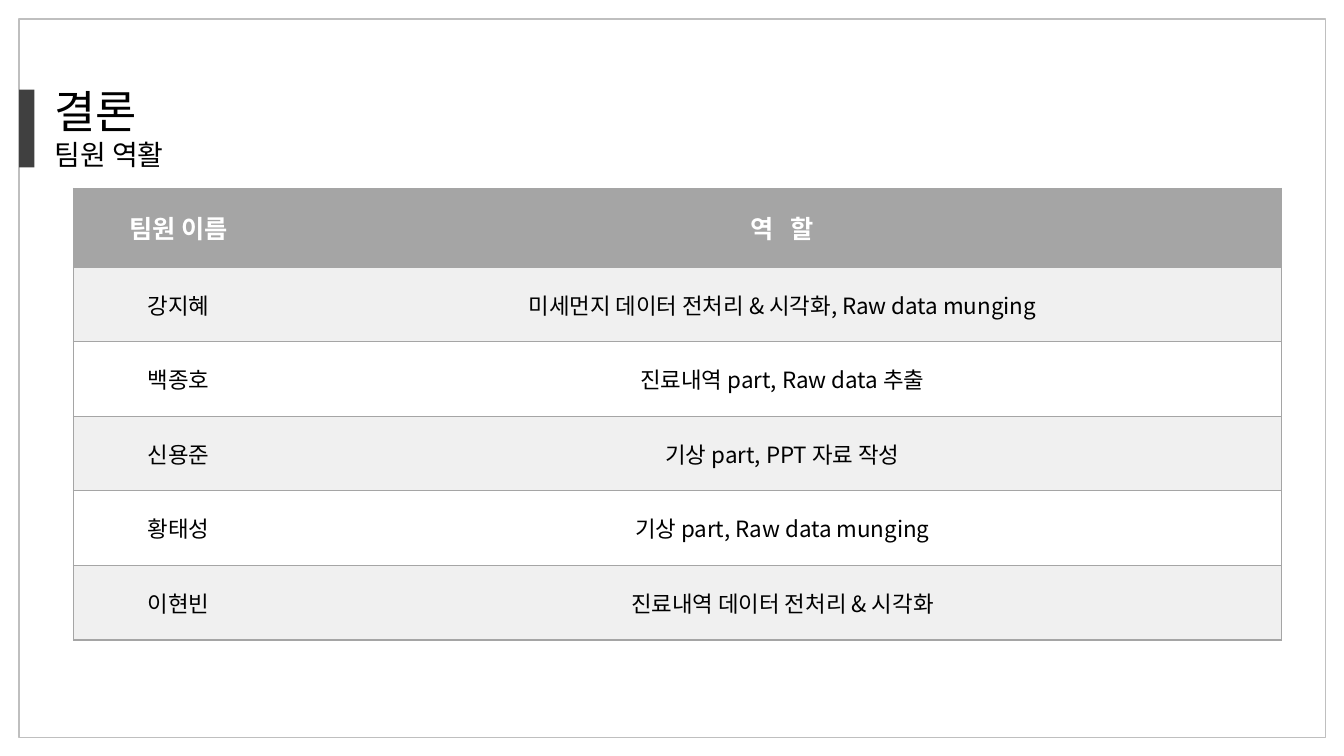
from dataclasses import dataclass

from lxml import etree
from pptx import Presentation
from pptx.dml.color import RGBColor
from pptx.enum.shapes import MSO_SHAPE as Shape
from pptx.enum.text import MSO_ANCHOR as Anchor, MSO_AUTO_SIZE as AutoSize, PP_ALIGN as Align
from pptx.oxml import parse_xml
from pptx.oxml.ns import nsdecls, qn
from pptx.util import Inches, Pt


@dataclass(frozen=True)
class Theme:
    font: str = "Noto Sans CJK KR"
    black: str = "000000"
    white: str = "FFFFFF"
    frame: str = "BFBFBF"
    accent: str = "404040"
    header: str = "A5A5A5"
    band: str = "F0F0F0"
    title_size: int = 32
    subtitle_size: int = 20
    header_size: int = 18
    body_size: int = 16


THEME = Theme()
HEADINGS = ("팀원 이름", "역 할")
ROLES = (
    ("강지혜", "미세먼지 데이터 전처리 & 시각화, Raw data munging"),
    ("백종호", "진료내역 part, Raw data 추출"),
    ("신용준", "기상 part, PPT 자료 작성"),
    ("황태성", "기상 part, Raw data munging"),
    ("이현빈", "진료내역 데이터 전처리 & 시각화"),
)


def write(paragraph, text, *, size, color=THEME.black, bold=False,
          align=Align.LEFT, spacing=0, outlined=False):
    paragraph.alignment = align
    run = paragraph.add_run()
    run.text = text
    font = run.font
    font.size = Pt(size)
    font.bold = bold
    font.color.rgb = RGBColor.from_string(color)
    font.name = THEME.font
    properties = run._r.get_or_add_rPr()
    etree.SubElement(properties, qn("a:ea"), typeface=THEME.font)
    if spacing:
        properties.set("spc", str(spacing * 100))
    if outlined:
        properties.insert(0, parse_xml(
            f'<a:ln {nsdecls("a")} w="{Pt(0.75)}"><a:solidFill>'
            f'<a:srgbClr val="{color}"><a:alpha val="50000"/></a:srgbClr>'
            '</a:solidFill></a:ln>'))


def add_box(slide, left, top, width, height, *, fill=None, line=None):
    box = slide.shapes.add_shape(
        Shape.RECTANGLE, Inches(left), Inches(top), Inches(width), Inches(height))
    box.shadow.inherit = False
    if fill:
        box.fill.solid()
        box.fill.fore_color.rgb = RGBColor.from_string(fill)
    else:
        box.fill.background()
    if line:
        box.line.color.rgb = RGBColor.from_string(line)
        box.line.width = Pt(1)
    else:
        box.line.fill.background()


def add_heading(slide, left, top, width, height):
    add_box(slide, left, top + 0.11, 0.15, 0.77, fill=THEME.accent)
    heading = slide.shapes.add_textbox(
        Inches(left + 0.25), Inches(top), Inches(width - 0.25), Inches(height))
    frame = heading.text_frame
    frame.word_wrap = True
    frame.auto_size = AutoSize.SHAPE_TO_FIT_TEXT
    write(frame.paragraphs[0], "결론", size=THEME.title_size, outlined=True)
    write(frame.add_paragraph(), "팀원 역활", size=THEME.subtitle_size, outlined=True)


def style_cell(cell, fill, outer_side):
    cell.vertical_anchor = Anchor.MIDDLE
    cell.margin_left = cell.margin_right = Inches(0.13)
    cell.margin_top = cell.margin_bottom = Inches(0.05)
    properties = cell._tc.get_or_add_tcPr()
    for side in "LRTB":
        if side in (outer_side, "T", "B"):
            paint = f'<a:solidFill><a:srgbClr val="{THEME.header}"/></a:solidFill>'
        else:
            paint = "<a:noFill/>"
        properties.append(parse_xml(
            f'<a:ln{side} {nsdecls("a")} w="{Pt(1)}">{paint}</a:ln{side}>'))
    cell.fill.solid()
    cell.fill.fore_color.rgb = RGBColor.from_string(fill)


def add_roles(slide, left, top, width, height):
    name_width, header_height = 2.08, 0.78
    row_height = (height - header_height) / len(ROLES)
    table = slide.shapes.add_table(
        len(ROLES) + 1, len(HEADINGS), Inches(left), Inches(top),
        Inches(width), Inches(height)).table
    table.horz_banding = False
    table.columns[0].width = Inches(name_width)
    table.columns[1].width = Inches(width - name_width)
    for row, texts in enumerate((HEADINGS, *ROLES)):
        is_header = row == 0
        table.rows[row].height = Inches(header_height if is_header else row_height)
        fill = THEME.header if is_header else (THEME.band if row % 2 else THEME.white)
        for column, text in enumerate(texts):
            cell = table.cell(row, column)
            style_cell(cell, fill, "LR"[column])
            write(cell.text_frame.paragraphs[0], text,
                  size=THEME.header_size if is_header else THEME.body_size,
                  color=THEME.white if is_header else THEME.black,
                  bold=is_header, align=Align.CENTER,
                  spacing=4 if is_header and column == 1 else 0)


def main():
    deck = Presentation()
    deck.slide_width, deck.slide_height = Inches(13.33), Inches(7.5)
    slide = deck.slides.add_slide(deck.slide_layouts[6])
    add_box(slide, 0.19, 0.19, 12.96, 7.13, line=THEME.frame)
    add_heading(slide, 0.19, 0.78, 5.56, 0.98)
    add_roles(slide, 0.73, 1.87, 11.98, 4.48)
    deck.save("out.pptx")


if __name__ == "__main__":
    main()
